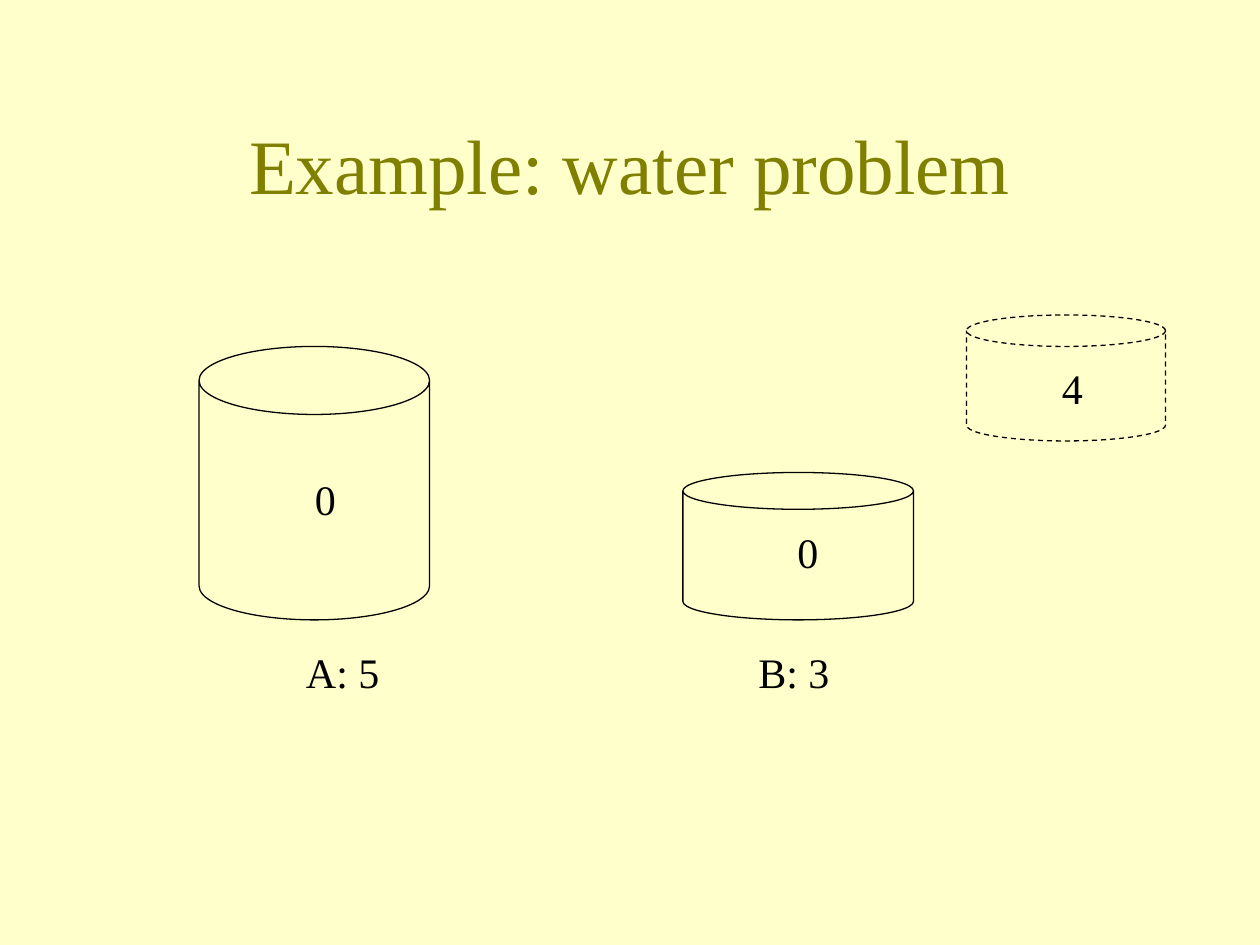
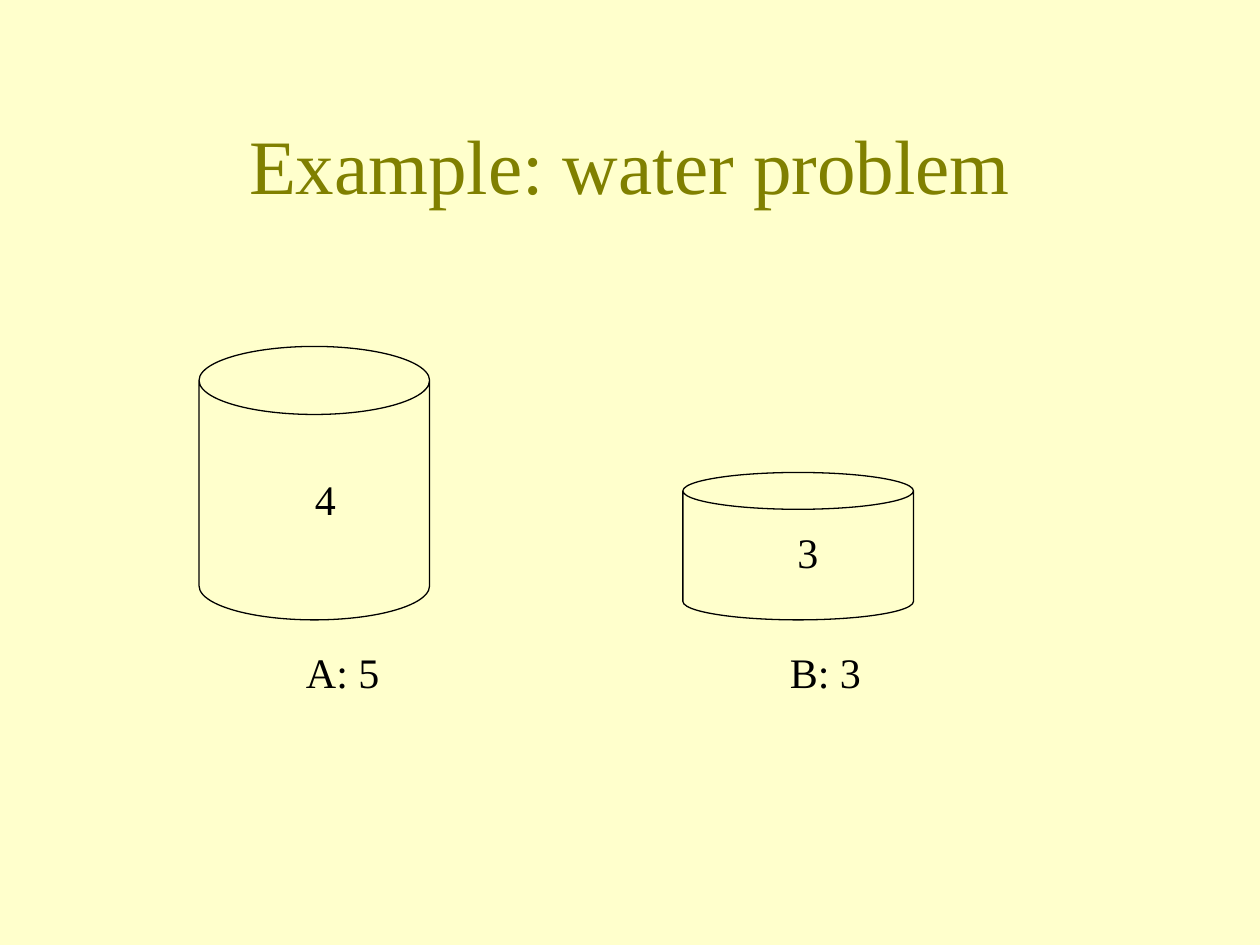
from dataclasses import dataclass

from pptx import Presentation
from pptx.dml.color import RGBColor
from pptx.enum.dml import MSO_LINE
from pptx.enum.shapes import MSO_SHAPE
from pptx.enum.text import MSO_ANCHOR, PP_ALIGN
from pptx.util import Inches, Pt

# Content: the amounts in the jugs, the left edge of B's label, a spare jug
TITLE = "Example: water problem"
STATES = [
    {"A": "0", "B": "0", "B label left": 5.92, "goal": "4"},
    {"A": "4", "B": "3", "B label left": 6.17},
]

# Jugs: can box, rim depth, and where the amount stands
JUGS = {
    "A": dict(box=(1.58, 2.75, 1.83, 2.17), rim=0.295, amount_at=(2.4, 3.71)),
    "B": dict(box=(5.42, 3.75, 1.83, 1.17), rim=0.25, amount_at=(6.23, 4.13)),
    "goal": dict(box=(7.67, 2.5, 1.58, 1), rim=0.25, amount_at=(8.33, 2.83),
                 dashed=True),
}
TITLE_BOX = (0.75, 0.67, 8.5, 1.25)
LABEL_TOP, LABEL_WIDTH, AMOUNT_WIDTH, LINE_HEIGHT = 5.08, 0.78, 0.37, 0.5
A_LABEL_LEFT = 2.33


@dataclass(frozen=True)
class Theme:
    background: RGBColor = RGBColor(0xFF, 0xFF, 0xCC)
    title: RGBColor = RGBColor(0x80, 0x80, 0x00)
    ink: RGBColor = RGBColor(0, 0, 0)
    font: str = "Times New Roman"
    title_size: Pt = Pt(44)
    text_size: Pt = Pt(24)
    outline: Pt = Pt(0.75)


THEME = Theme()


def add_text(slide, text, box, size=THEME.text_size, color=THEME.ink):
    frame = slide.shapes.add_textbox(*map(Inches, box)).text_frame
    frame.word_wrap = False
    paragraph = frame.paragraphs[0]
    paragraph.text = text
    paragraph.font.name = THEME.font
    paragraph.font.size = size
    paragraph.font.color.rgb = color
    return frame


def add_title(slide):
    frame = add_text(slide, TITLE, TITLE_BOX, THEME.title_size, THEME.title)
    frame.word_wrap = True
    frame.vertical_anchor = MSO_ANCHOR.MIDDLE
    frame.paragraphs[0].alignment = PP_ALIGN.CENTER


def add_jug(slide, amount, box, rim, amount_at, dashed=False):
    can = slide.shapes.add_shape(MSO_SHAPE.CAN, *map(Inches, box))
    can.adjustments[0] = rim
    can.shadow.inherit = False
    can.fill.background()
    can.line.color.rgb = THEME.ink
    can.line.width = THEME.outline
    if dashed:
        can.line.dash_style = MSO_LINE.DASH
    add_text(slide, amount, (*amount_at, AMOUNT_WIDTH, LINE_HEIGHT))


def build_state(prs, state):
    slide = prs.slides.add_slide(prs.slide_layouts[6])
    slide.background.fill.solid()
    slide.background.fill.fore_color.rgb = THEME.background
    add_title(slide)

    # Jugs with their amounts
    for name, jug in JUGS.items():
        if name in state:
            add_jug(slide, state[name], **jug)

    # Capacities below the jugs
    for label, left in (("A: 5", A_LABEL_LEFT), ("B: 3", state["B label left"])):
        add_text(slide, label, (left, LABEL_TOP, LABEL_WIDTH, LINE_HEIGHT))


def main():
    prs = Presentation()
    prs.slide_width, prs.slide_height = Inches(10), Inches(7.5)
    for state in STATES:
        build_state(prs, state)
    prs.save("out.pptx")


if __name__ == "__main__":
    main()
